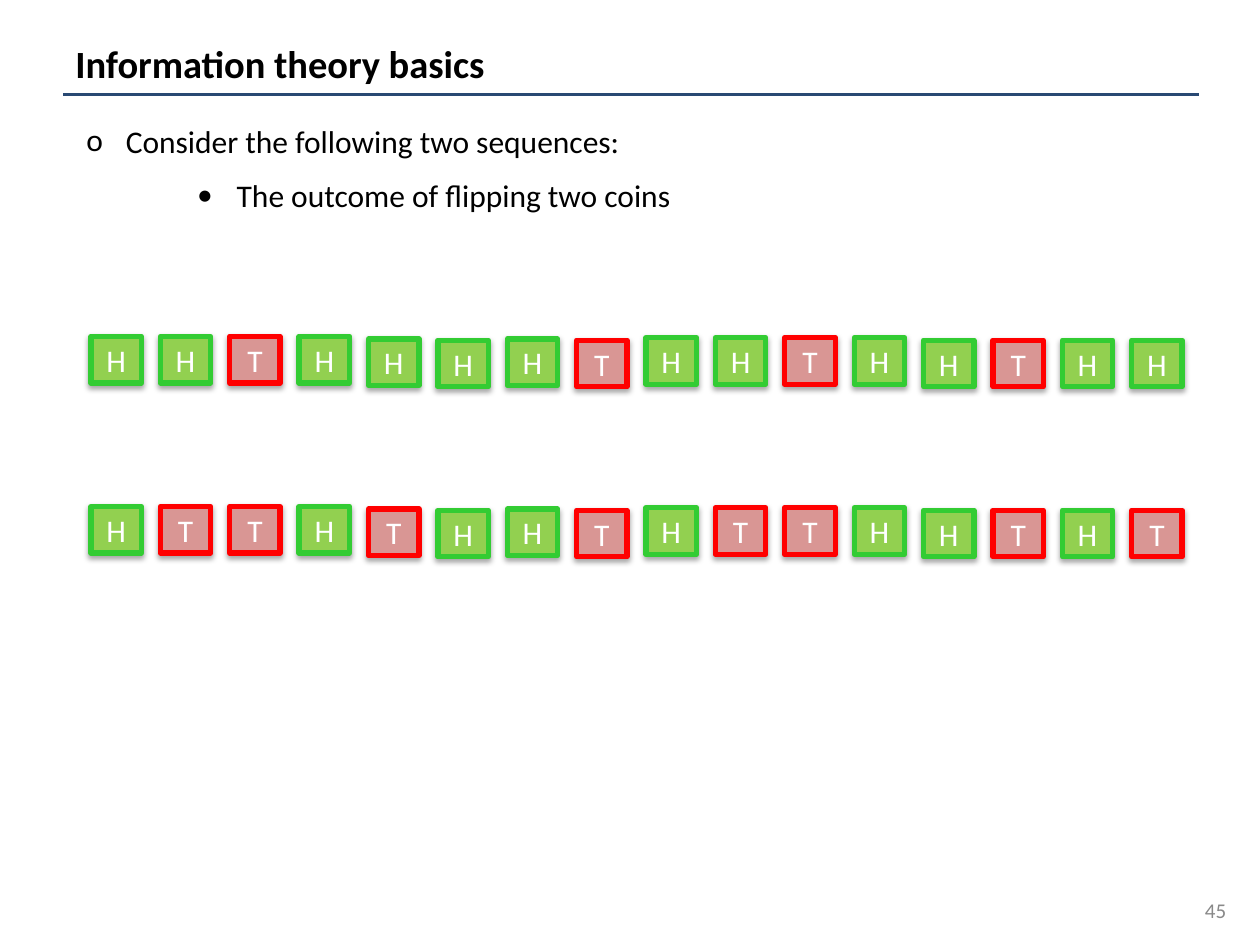
"""Build a slide that compares two sequences of coin flips."""
from lxml import etree
from pptx import Presentation
from pptx import util as u
from pptx.dml.color import RGBColor
from pptx.enum import shapes, text
from pptx.oxml import ns

COLOURS = {"rule": "294973", "ink": "000000", "number": "898989", "letter": "FFFFFF"}
COINS = {
    "H": {"fill": "92D050", "line": "33CC33"},
    "T": {"fill": "D99694", "line": "FF0000"},
}
SEQUENCES = {192.24: "HHTHHHHTHHTHHTHH", 289.44: "HTTHTHHTHTTHHTHT"}
DROPS = [0] * 4 + [1.44, 2.16] * 2 + [0.72] * 4 + [2.16] * 4
FIRST_LEFT, PITCH, COIN_WIDTH, COIN_HEIGHT = 52, 39.65, 28.8, 26.64


def points(*values):
    """Convert numbers to lengths in points."""
    return [u.Pt(value) for value in values]


def add_node(parent, tag, **attributes):
    """Append a DrawingML element to a parent."""
    node = etree.SubElement(parent, ns.qn(tag))
    for name, value in attributes.items():
        node.set(name, str(value))
    return node


def write(para, words, colour, **formats):
    """Add one formatted run to a paragraph."""
    span = para.add_run()
    span.text = words
    span.font.color.rgb = RGBColor.from_string(colour)
    for name, value in {"name": "Calibri", **formats}.items():
        setattr(span.font, name, value)


def add_box(page, *place, anchor=text.MSO_ANCHOR.MIDDLE):
    """Add a wrapping text box and return its text frame."""
    frame = page.shapes.add_textbox(*points(*place)).text_frame
    frame.word_wrap = True
    frame.vertical_anchor = anchor
    return frame


def add_rule(page):
    """Draw the line under the title."""
    rule = page.shapes.add_connector(
        shapes.MSO_CONNECTOR.STRAIGHT, *points(36, 54, 685.44, 54))
    rule.line.color.rgb = RGBColor.from_string(COLOURS["rule"])
    rule.line.width = u.Pt(2)
    add_node(rule._element.spPr, "a:effectLst")


def add_bullet(para, words, mark, margin, level):
    """Fill a paragraph as a bulleted item with a hanging indent."""
    formats = {"level": level, "space_before": u.Pt(8), "space_after": u.Pt(1)}
    for name, value in formats.items():
        setattr(para, name, value)
    settings = para._p.get_or_add_pPr()
    settings.set("marL", str(u.Pt(margin)))
    settings.set("indent", str(u.Pt(-22.5)))
    add_node(settings, "a:buFont", typeface="Calibri")
    add_node(settings, "a:buChar", char=mark)
    write(para, words, COLOURS["ink"], size=u.Pt(18))


def add_shadow(shape):
    """Give a shape a soft shadow below it."""
    shape.shadow.inherit = False
    effects = shape._element.spPr.find(ns.qn("a:effectLst"))
    shadow = add_node(effects, "a:outerShdw", blurRad=u.Pt(3.1), dist=u.Pt(1.8),
                      dir=5400000, rotWithShape=0)
    colour = add_node(shadow, "a:srgbClr", val=COLOURS["ink"])
    add_node(colour, "a:alpha", val=35000)


def add_coin(group, face, left, top):
    """Add one coin square showing its face."""
    coin = group.shapes.add_shape(
        shapes.MSO_SHAPE.RECTANGLE, *points(left, top, COIN_WIDTH, COIN_HEIGHT))
    coin.fill.solid()
    coin.fill.fore_color.rgb = RGBColor.from_string(COINS[face]["fill"])
    coin.line.color.rgb = RGBColor.from_string(COINS[face]["line"])
    coin.line.width = u.Pt(3)
    add_node(coin.line._get_or_add_ln(), "a:round")
    add_shadow(coin)
    frame = coin.text_frame
    frame.vertical_anchor = text.MSO_ANCHOR.MIDDLE
    para = frame.paragraphs[0]
    para.alignment = text.PP_ALIGN.CENTER
    write(para, face, COLOURS["letter"], size=u.Pt(18))


def add_sequence(page, faces, top):
    """Add a grouped row of coins."""
    group = page.shapes.add_group_shape()
    for index, (face, drop) in enumerate(zip(faces, DROPS)):
        add_coin(group, face, FIRST_LEFT + index * PITCH, top + drop)


def main():
    """Build the deck and save it."""
    deck = Presentation()
    deck.slide_width, deck.slide_height = points(720, 540)
    page = deck.slides.add_slide(deck.slide_layouts[6])
    add_rule(page)
    title = add_box(page, 36, 18, 648, 36).paragraphs[0]
    write(title, "Information theory basics", COLOURS["ink"], size=u.Pt(22), bold=True)
    number = add_box(page, 540, 505.44, 167.76, 28.8).paragraphs[0]
    number.alignment = text.PP_ALIGN.RIGHT
    write(number, "45", COLOURS["number"], size=u.Pt(12))
    body = add_box(page, 28.8, 66.24, 681.12, 295.2, anchor=text.MSO_ANCHOR.TOP)
    add_bullet(body.paragraphs[0], "Consider the following two sequences:", "o", 36, 0)
    add_bullet(body.add_paragraph(), "The outcome of flipping two coins", "•", 99.36, 2)
    for top, faces in SEQUENCES.items():
        add_sequence(page, faces, top)
    deck.save("out.pptx")


if __name__ == "__main__":
    main()
